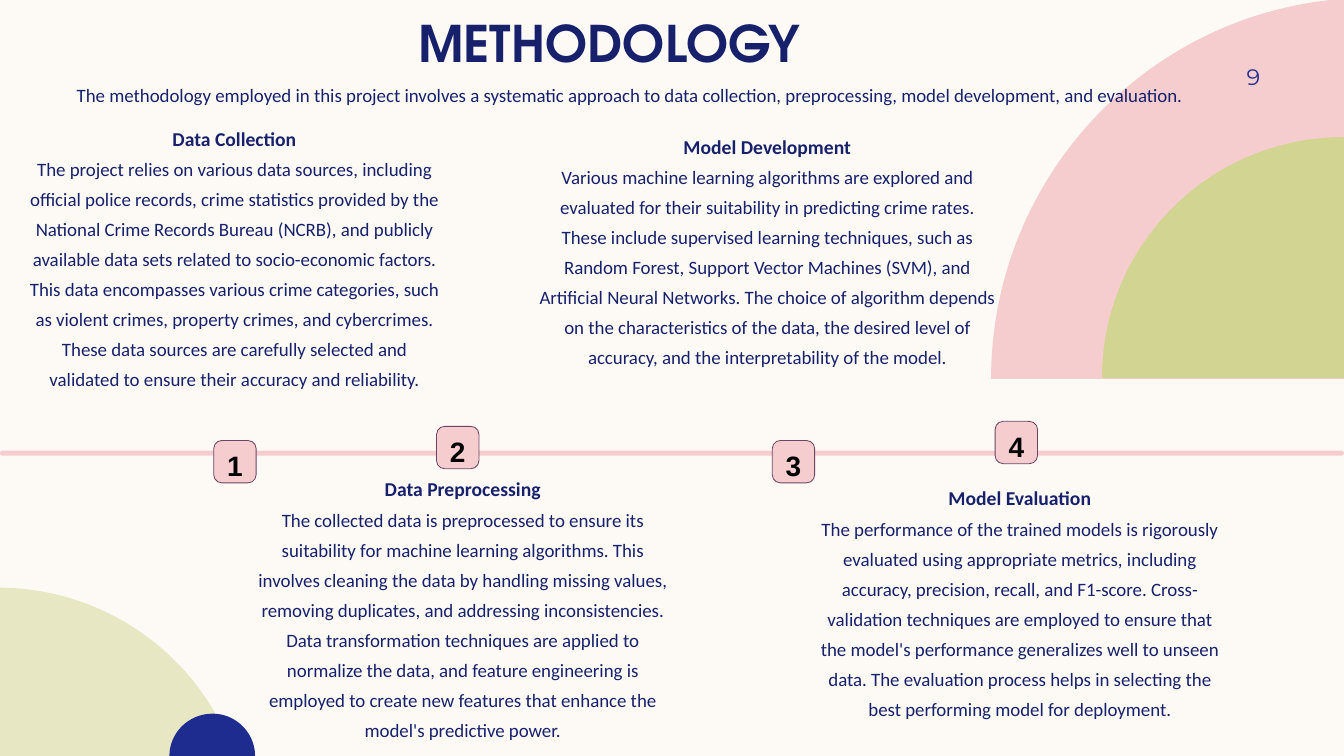
from lxml.etree import SubElement
from pptx import Presentation
from pptx.dml.color import RGBColor
from pptx.enum.shapes import MSO_SHAPE
from pptx.enum.text import MSO_ANCHOR, PP_ALIGN
from pptx.oxml.ns import qn
from pptx.util import Pt

PX = 9144
SLIDE_WIDTH, SLIDE_HEIGHT = 1333, 750

CREAM = RGBColor(0xFD, 0xFA, 0xF6)
PINK = RGBColor(0xF5, 0xCD, 0xCE)
GREEN = RGBColor(0xD2, 0xD5, 0x92)
BLUE = RGBColor(0x1F, 0x2C, 0x8F)
NAVY = RGBColor(0x17, 0x21, 0x6B)
PLUM = RGBColor(0x6D, 0x45, 0x62)
BLACK = RGBColor(0x00, 0x00, 0x00)

TITLE = {"name": "TeX Gyre Adventor", "size": Pt(36), "bold": True}
NUMBER = {"name": "Montserrat", "size": Pt(16)}
HEADING = {"name": "Calibri", "size": Pt(14), "bold": True}
BODY = {"name": "Calibri", "size": Pt(13.5), "bold": False}
MARKER = {"name": "Arial", "size": Pt(20), "bold": True}

INTRODUCTION = (
    "The methodology employed in this project involves a systematic approach to data "
    "collection, preprocessing, model development, and evaluation."
)
STAGES = [
    ((28, 119, 409, 194), "Data Collection",
     "The project relies on various data sources, including official police records, crime "
     "statistics provided by the National Crime Records Bureau (NCRB), and publicly available "
     "data sets related to socio-economic factors. This data encompasses various crime "
     "categories, such as violent crimes, property crimes, and cybercrimes. These data sources "
     "are carefully selected and validated to ensure their accuracy and reliability."),
    ((535, 127, 452, 215), "Model Development",
     "Various machine learning algorithms are explored and evaluated for their suitability in "
     "predicting crime rates. These include supervised learning techniques, such as Random "
     "Forest, Support Vector Machines (SVM), and Artificial Neural Networks. The choice of "
     "algorithm depends on the characteristics of the data, the desired level of accuracy, and "
     "the interpretability of the model."),
    ((251, 467, 416, 180), "Data Preprocessing",
     "The collected data is preprocessed to ensure its suitability for machine learning "
     "algorithms. This involves cleaning the data by handling missing values, removing "
     "duplicates, and addressing inconsistencies. Data transformation techniques are applied to "
     "normalize the data, and feature engineering is employed to create new features that "
     "enhance the model's predictive power."),
    ((808, 476, 407, 129), "Model Evaluation",
     "The performance of the trained models is rigorously evaluated using appropriate metrics, "
     "including accuracy, precision, recall, and F1-score. Cross-validation techniques are "
     "employed to ensure that the model's performance generalizes well to unseen data. The "
     "evaluation process helps in selecting the best performing model for deployment."),
]
MARKER_SIZE = 42
MARKER_CORNERS = [(212, 437), (433, 423), (766, 437), (987, 418)]


def emu(lengths):
    return [round(length * PX) for length in lengths]


def paint(shape, color):
    shape.shadow.inherit = False
    shape.fill.solid()
    shape.fill.fore_color.rgb = color
    shape.line.fill.background()


def bend(lines):
    curve = lines[0].makeelement(qn("a:cubicBezTo"))
    lines[0].addprevious(curve)
    for line in lines:
        curve.append(line[0])
        line.getparent().remove(line)


def add_outline(page, box, start, segments, color):
    left, top = box
    points = [(left + x, top + y) for x, y in [start, *sum(segments, [])]]
    first, *others = [emu(point) for point in points]
    builder = page.shapes.build_freeform(*first)
    builder.add_line_segments(others, close=True)
    outline = builder.convert_to_shape()
    lines = list(outline.element.iter(qn("a:lnTo")))
    position = 0
    for segment in segments:
        if len(segment) == 3:
            bend(lines[position:position + 3])
        position += len(segment)
    paint(outline, color)
    return outline


def add_corner_arches(page):
    add_outline(page, (983, 0), (350, 0), [
        [(350, 376)], [(0, 376)], [(0, 181), (148, 20), (337, 0)],
    ], PINK)
    add_outline(page, (1093, 136), (0, 239), [
        [(0, 107), (107, 0), (240, 0)], [(240, 239)],
    ], GREEN)


def add_corner_hills(page):
    green_hill = add_outline(page, (-2, 583), (0, 0), [
        [(103, 0), (192, 63), (229, 152)], [(235, 167)], [(0, 167)],
    ], GREEN)
    color = next(green_hill.element.iter(qn("a:srgbClr")))
    SubElement(color, qn("a:alpha"), val="50000")
    add_outline(page, (168, 708), (43, 0), [
        [(66, 0), (85, 19), (85, 42)], [(0, 42)], [(0, 19), (19, 0), (43, 0)],
    ], BLUE)


def fill_frame(frame, lines, color, align, spacing=None):
    for index, (text, font) in enumerate(lines):
        para = frame.add_paragraph() if index else frame.paragraphs[0]
        para.alignment = align
        if spacing:
            para.line_spacing = Pt(spacing)
        span = para.add_run()
        span.text = text
        span.font.color.rgb = color
        for name, value in font.items():
            setattr(span.font, name, value)


def set_frame(frame, anchor, margins=(0, 0, 0, 0), wrap=True):
    left, top, right, bottom = emu(margins)
    values = {
        "word_wrap": wrap, "vertical_anchor": anchor,
        "margin_left": left, "margin_top": top,
        "margin_right": right, "margin_bottom": bottom,
    }
    for name, value in values.items():
        setattr(frame, name, value)


def add_text(page, box, lines, color=NAVY, align=PP_ALIGN.LEFT, spacing=21.5,
             anchor=MSO_ANCHOR.TOP, margins=(0, 0, 0, 0), wrap=True):
    frame = page.shapes.add_textbox(*emu(box)).text_frame
    set_frame(frame, anchor, margins, wrap)
    fill_frame(frame, lines, color, align, spacing)


def add_header(page):
    add_text(page, (405, -39, 858, 111), [("METHODOLOGY", TITLE)], spacing=37.5,
             anchor=MSO_ANCHOR.BOTTOM, margins=(10, 0, 10, 0))
    add_text(page, (1142, 50, 108, 52), [("9", NUMBER)], BLUE, PP_ALIGN.RIGHT, None,
             MSO_ANCHOR.MIDDLE, (10, 5, 0, 5))
    add_text(page, (76, 76, 1099, 52), [(INTRODUCTION, BODY)], wrap=False)


def add_rounded(page, box, corner, color):
    shape = page.shapes.add_shape(MSO_SHAPE.ROUNDED_RECTANGLE, *emu(box))
    shape.adjustments[0] = corner
    paint(shape, color)
    return shape


def add_timeline(page, box):
    add_rounded(page, box, 0.5, PINK)
    for number, corner in enumerate(MARKER_CORNERS, 1):
        marker = add_rounded(page, (*corner, MARKER_SIZE, MARKER_SIZE), 0.19, PINK)
        marker.line.color.rgb = PLUM
        marker.line.width = Pt(0.6)
        set_frame(marker.text_frame, MSO_ANCHOR.MIDDLE, (0, 7, 0, 0))
        fill_frame(marker.text_frame, [(str(number), MARKER)], BLACK, PP_ALIGN.CENTER)


def main():
    deck = Presentation()
    deck.slide_width, deck.slide_height = emu((SLIDE_WIDTH, SLIDE_HEIGHT))
    page = deck.slides.add_slide(deck.slide_layouts[6])
    page.background.fill.solid()
    page.background.fill.fore_color.rgb = CREAM
    add_corner_arches(page)
    add_corner_hills(page)
    add_header(page)
    for box, heading, body in STAGES:
        add_text(page, box, [(heading, HEADING), (body, BODY)], align=PP_ALIGN.CENTER)
    add_timeline(page, (0, 447, SLIDE_WIDTH, 5))
    deck.save("out.pptx")


if __name__ == "__main__":
    main()
